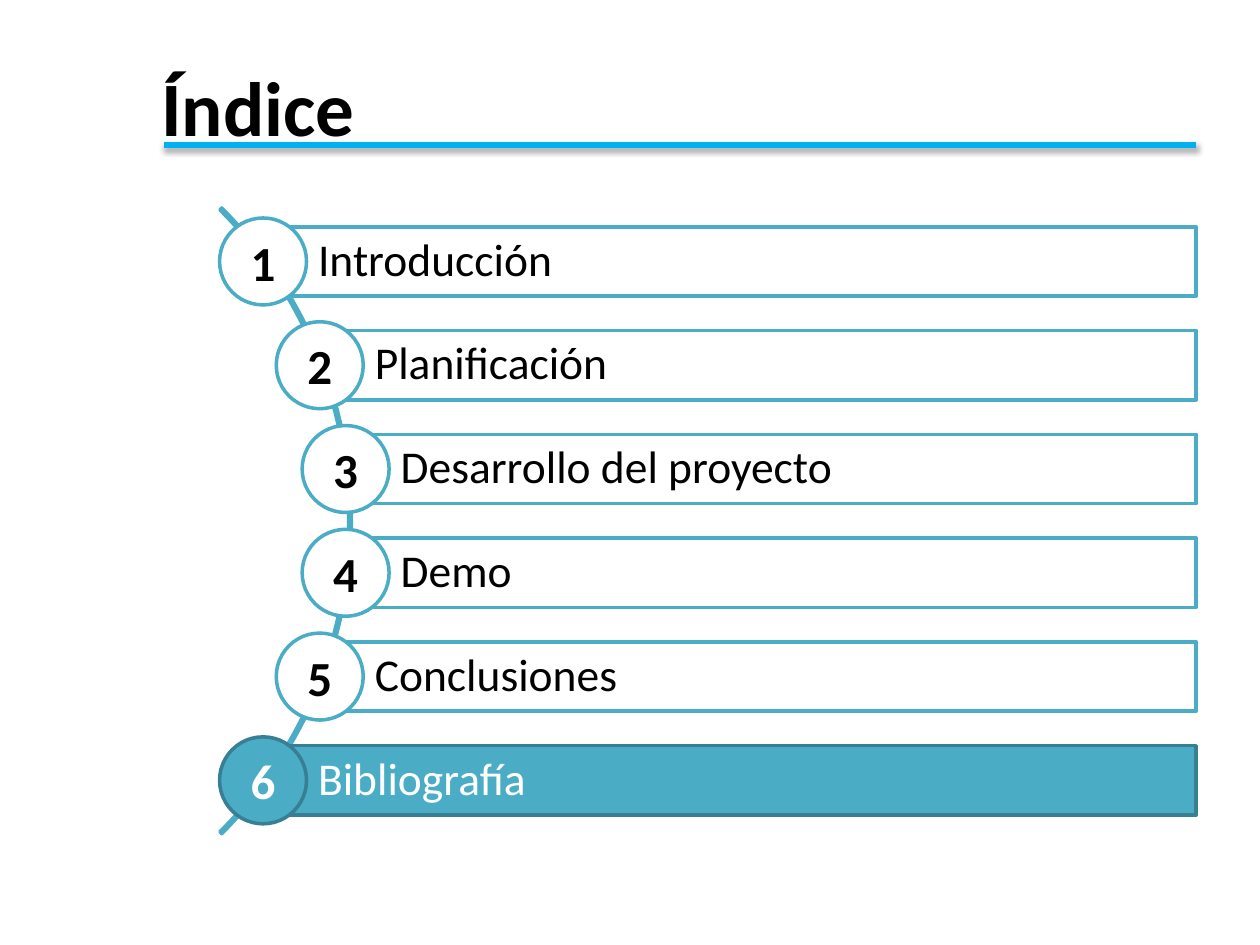
from dataclasses import dataclass

from lxml.etree import SubElement
from pptx import Presentation
from pptx.dml.color import RGBColor
from pptx.enum.shapes import MSO_CONNECTOR, MSO_SHAPE
from pptx.enum.text import MSO_ANCHOR, PP_ALIGN
from pptx.oxml.ns import qn
from pptx.util import Pt


@dataclass(frozen=True)
class Theme:
    font: str = "Calibri"
    black: str = "000000"
    white: str = "FFFFFF"
    teal: str = "4BACC6"
    dark_teal: str = "377F92"
    rule: str = "00B0F0"
    title_size: int = 44
    entry_size: int = 26
    number_size: int = 28
    outline: int = 2


ENTRIES = ["Introducción", "Planificación", "Desarrollo del proyecto",
           "Demo", "Conclusiones", "Bibliografía"]
CURRENT = 6
# Horizontal centres of the circles: the lower half mirrors the upper half
UPPER_CENTRES = [150.3, 182.7, 197.5]
CENTRES = UPPER_CENTRES + UPPER_CENTRES[::-1]
FIRST_ROW, ROW_PITCH = 149.4, 59.3
BAR_HEIGHT, CIRCLE_SIZE = 39.6, 49.7
LEFT_EDGE, RIGHT_EDGE = 93.8, 683.6
ARC_CENTRE_X, ARC_SIZE = -52, 505.6


class IndexPage:
    """Holds the theme and the page that is being drawn."""

    def __init__(self, deck, theme):
        self.theme = theme
        self.page = deck.slides.add_slide(deck.slide_layouts[5])

    def add_text(self, frame, text, size, color, bold=False, align=PP_ALIGN.LEFT):
        frame.vertical_anchor = MSO_ANCHOR.MIDDLE
        para = frame.paragraphs[0]
        para.alignment = align
        span = para.add_run()
        span.text = text
        span.font.name = self.theme.font
        span.font.size = Pt(size)
        span.font.bold = bold
        span.font.color.rgb = RGBColor.from_string(color)
        return para

    def title(self, text, left, top, width, height):
        box = self.page.shapes.title
        box.left, box.top = Pt(left), Pt(top)
        box.width, box.height = Pt(width), Pt(height)
        self.add_text(box.text_frame, text, self.theme.title_size,
                      self.theme.black, bold=True)

    def shape(self, kind, left, top, width, height, fill, line):
        shape = self.page.shapes.add_shape(
            kind, Pt(left), Pt(top), Pt(width), Pt(height))
        shape.shadow.inherit = False
        shape.fill.solid()
        shape.fill.fore_color.rgb = RGBColor.from_string(fill)
        shape.line.color.rgb = RGBColor.from_string(line)
        shape.line.width = Pt(self.theme.outline)
        return shape

    def arc(self, center_x, center_y, size):
        """Draw a thin arc from 315 to 45 degrees, open to the left."""
        arc = self.shape(MSO_SHAPE.BLOCK_ARC, center_x - size / 2,
                         center_y - size / 2, size, size,
                         self.theme.white, self.theme.teal)
        for index, value in enumerate((189, 27, 0.003)):
            arc.adjustments[index] = value

    def entry(self, number, text, center_x, center_y, current):
        theme = self.theme
        fill, line, ink = ((theme.teal, theme.dark_teal, theme.white) if current
                           else (theme.white, theme.teal, theme.black))
        bar = self.shape(MSO_SHAPE.RECTANGLE, center_x, center_y - BAR_HEIGHT / 2,
                         RIGHT_EDGE - center_x, BAR_HEIGHT, fill, line)
        frame = bar.text_frame
        frame.margin_left = Pt(31.5)
        frame.margin_right = frame.margin_top = frame.margin_bottom = Pt(5)
        para = self.add_text(frame, text, theme.entry_size, ink)
        para.line_spacing = 0.9

        circle = self.shape(MSO_SHAPE.OVAL, center_x - CIRCLE_SIZE / 2,
                            center_y - CIRCLE_SIZE / 2,
                            CIRCLE_SIZE, CIRCLE_SIZE, fill, line)
        frame = circle.text_frame
        frame.word_wrap = False
        frame.margin_left = frame.margin_right = 0
        frame.margin_top = frame.margin_bottom = 0
        self.add_text(frame, str(number), theme.number_size, ink,
                      bold=True, align=PP_ALIGN.CENTER)

    def rule(self, left, right, height):
        """Draw the title's underline with its soft shadow below."""
        rule = self.page.shapes.add_connector(
            MSO_CONNECTOR.STRAIGHT, Pt(left), Pt(height), Pt(right), Pt(height))
        rule.line.color.rgb = RGBColor.from_string(self.theme.rule)
        rule.line.width = Pt(3)
        effects = SubElement(rule._element.spPr, qn("a:effectLst"))
        shadow = SubElement(effects, qn("a:outerShdw"), blurRad=str(Pt(3.1)),
                            dist=str(Pt(1.8)), dir="5400000", rotWithShape="0")
        color = SubElement(shadow, qn("a:srgbClr"), val=self.theme.black)
        SubElement(color, qn("a:alpha"), val="35000")


def main():
    deck = Presentation()
    deck.slide_width, deck.slide_height = Pt(720), Pt(540)
    index = IndexPage(deck, Theme())
    index.title("Índice", 85, 26, 635.5, 68.4)
    index.arc(ARC_CENTRE_X, FIRST_ROW + ROW_PITCH * (len(ENTRIES) - 1) / 2, ARC_SIZE)
    for number, (text, center_x) in enumerate(zip(ENTRIES, CENTRES), start=1):
        center_y = FIRST_ROW + ROW_PITCH * (number - 1)
        index.entry(number, text, center_x, center_y, number == CURRENT)
    index.rule(LEFT_EDGE, RIGHT_EDGE, 82.8)
    deck.save("out.pptx")


if __name__ == "__main__":
    main()
